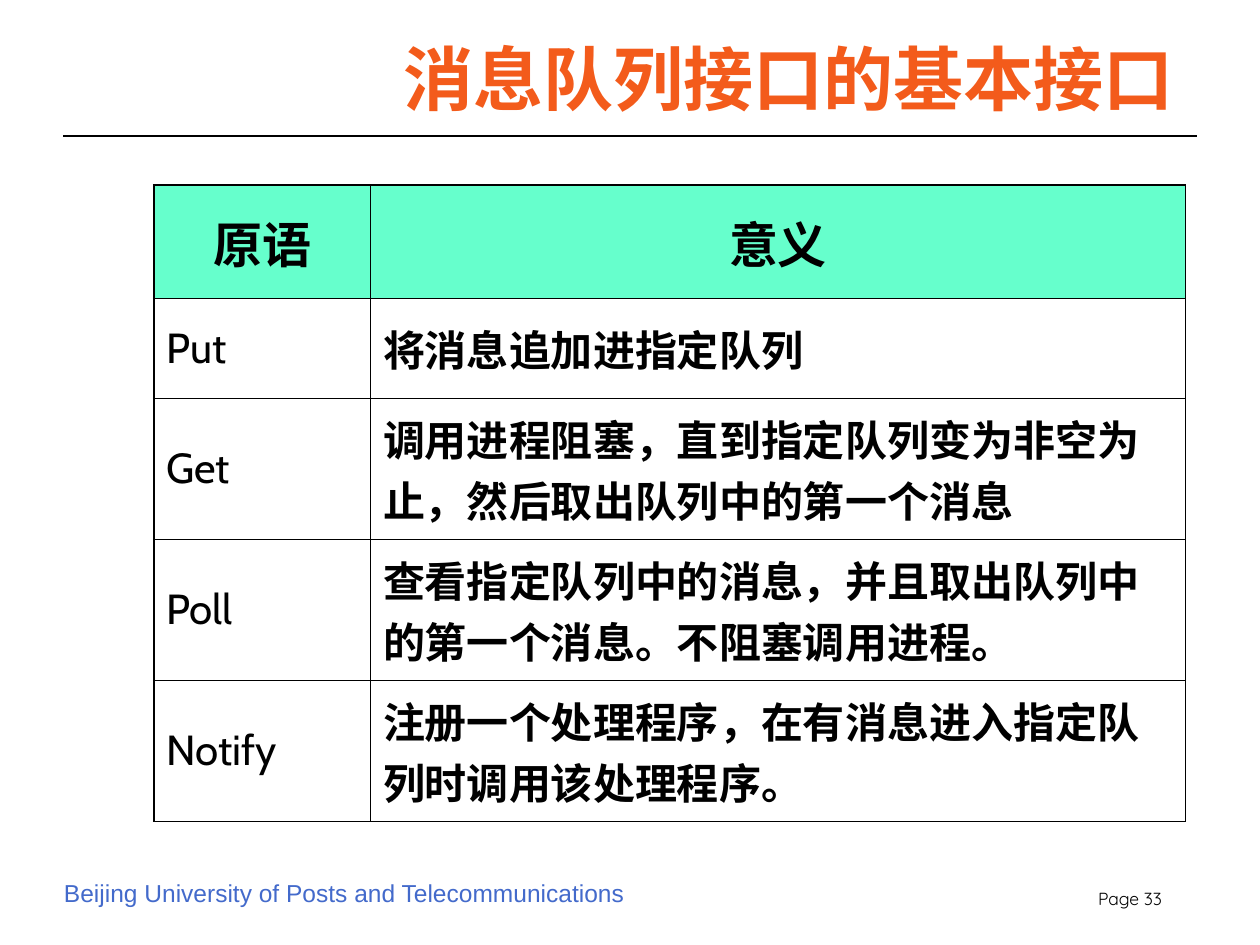
from pptx import Presentation
from pptx.dml.color import RGBColor
from pptx.enum.shapes import MSO_CONNECTOR
from pptx.enum.text import MSO_ANCHOR as ANCHOR, MSO_AUTO_SIZE as AUTO, PP_ALIGN as ALIGN
from pptx.oxml.ns import qn
from pptx.util import Inches, Pt
from lxml.etree import SubElement

BLACK = RGBColor(0x00, 0x00, 0x00)
WHITE = RGBColor(0xFF, 0xFF, 0xFF)
ORANGE = RGBColor(0xF3, 0x5B, 0x1B)
BLUE = RGBColor(0x43, 0x6A, 0xCB)
MINT = RGBColor(0x66, 0xFF, 0xCC)
CJK = "Noto Sans CJK SC"
THIN, THICK = 0.45, 1.08


def write(tf, text, size=24, font="Cabin", color=BLACK, bold=False,
          align=ALIGN.LEFT, anchor=ANCHOR.TOP):
    tf.word_wrap = True
    tf.vertical_anchor = anchor
    p = tf.paragraphs[0]
    p.alignment = align
    r = p.add_run()
    r.text = text
    r.font.size = Pt(size)
    r.font.name = font
    r.font.bold = bold
    r.font.color.rgb = color
    SubElement(r.font._element, qn("a:ea")).set("typeface", CJK)


def border(cell, side, width):
    tc_pr = cell._tc.get_or_add_tcPr()
    ln = SubElement(tc_pr, qn("a:" + side), w=str(Pt(width)))
    fill = SubElement(ln, qn("a:solidFill"))
    SubElement(fill, qn("a:srgbClr"), val=str(BLACK))


class Deck:
    def __init__(self):
        self.prs = Presentation()
        self.prs.slide_width, self.prs.slide_height = Inches(10), Inches(7.5)
        self.s = self.prs.slides.add_slide(self.prs.slide_layouts[5])

    def title(self, text, x, y, w, h):
        sp = self.s.shapes.title
        sp.left, sp.top, sp.width, sp.height = map(Inches, (x, y, w, h))
        tf = sp.text_frame
        tf.auto_size = AUTO.NONE
        tf.margin_top = 0
        write(tf, text, size=40, font=CJK, color=ORANGE, bold=True, align=ALIGN.RIGHT)

    def text(self, text, x, y, w, h, **fmt):
        sp = self.s.shapes.add_textbox(*map(Inches, (x, y, w, h)))
        write(sp.text_frame, text, **fmt)

    def rule(self, x1, x2, y):
        c = self.s.shapes.add_connector(MSO_CONNECTOR.STRAIGHT, *map(Inches, (x1, y, x2, y)))
        c.line.color.rgb = BLACK
        c.line.width = Pt(0.75)
        SubElement(c._element.spPr, qn("a:effectLst"))

    def table(self, rows, x, y, widths, heights):
        n_rows, n_cols = len(heights), len(widths)
        frame = self.s.shapes.add_table(
            n_rows, n_cols, *map(Inches, (x, y, sum(widths), sum(heights))))
        table = frame.table
        for col, width in zip(table.columns, widths):
            col.width = Inches(width)
        for row, height in zip(table.rows, heights):
            row.height = Inches(height)
        for i, row in enumerate(rows):
            header = i == 0
            for j, text in enumerate(row):
                cell = table.cell(i, j)
                edges = {"lnL": j == 0, "lnR": j == n_cols - 1,
                         "lnT": header, "lnB": i == n_rows - 1}
                for side, outer in edges.items():
                    border(cell, side, THICK if outer else THIN)
                cell.fill.solid()
                cell.fill.fore_color.rgb = MINT if header else WHITE
                cell.vertical_anchor = ANCHOR.MIDDLE
                write(cell.text_frame, text, size=28 if header else 24,
                      bold=header or j == 1, anchor=ANCHOR.MIDDLE,
                      align=ALIGN.CENTER if header else ALIGN.LEFT)


def main():
    rows = [
        ("原语", "意义"),
        ("Put", "将消息追加进指定队列"),
        ("Get", "调用进程阻塞，直到指定队列变为非空为止，然后取出队列中的第一个消息"),
        ("Poll", "查看指定队列中的消息，并且取出队列中的第一个消息。不阻塞调用进程。"),
        ("Notify", "注册一个处理程序，在有消息进入指定队列时调用该处理程序。"),
    ]
    deck = Deck()
    deck.rule(0.5, 9.5, 1.08)
    deck.text("Beijing University of Posts and Telecommunications", 0.41, 6.92, 4.7, 0.33,
              size=14, font="Arial", color=BLUE)
    deck.text("Page 33", 8.01, 7, 1.31, 0.29, size=10, font="Quicksand", align=ALIGN.RIGHT)
    deck.title("消息队列接口的基本接口", 0.41, 0.28, 9, 1.25)
    deck.table(rows, 1.22, 1.47, [1.72, 6.47], [0.9, 0.79] + [1.12] * 3)
    deck.prs.save("out.pptx")


if __name__ == "__main__":
    main()
